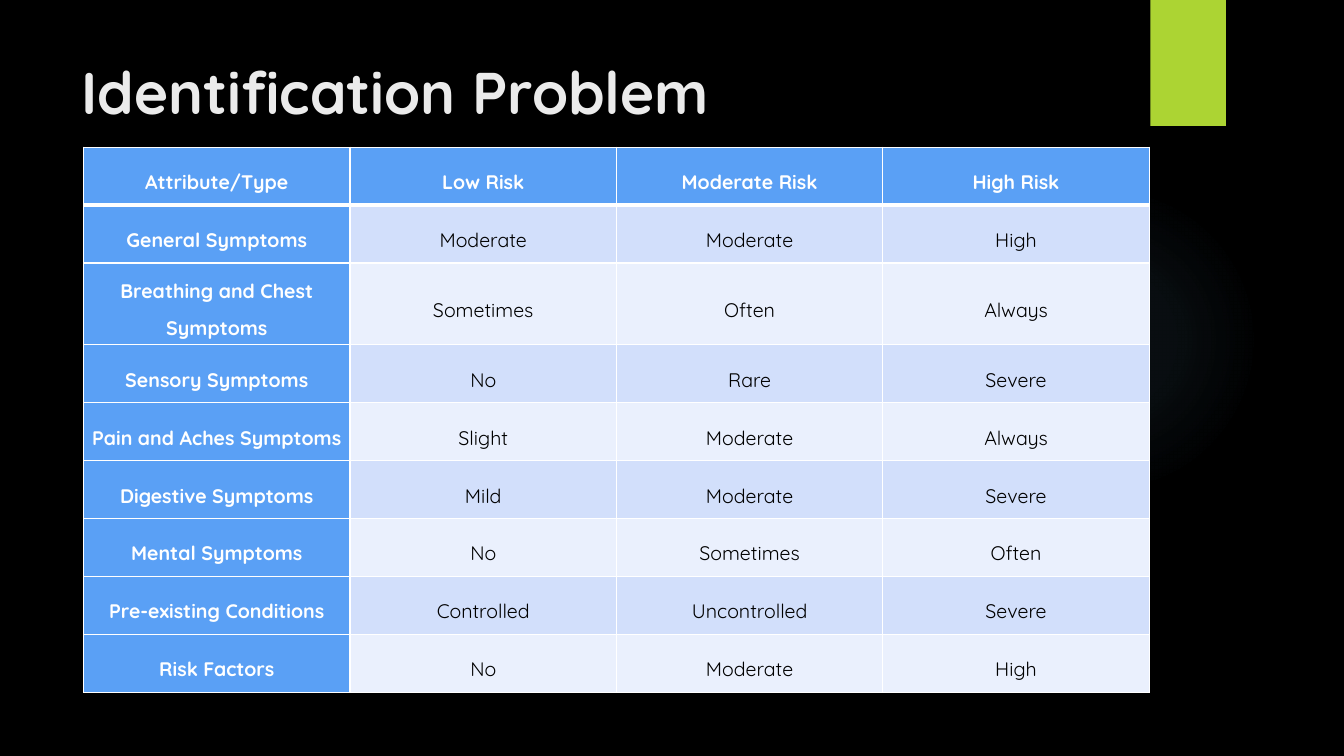
from lxml import etree
from pptx import Presentation
from pptx.dml.color import RGBColor
from pptx.enum import shapes, text
from pptx.oxml import parse_xml
from pptx.oxml.ns import nsdecls
from pptx.util import Inches, Pt

BLACK = RGBColor(0x00, 0x00, 0x00)
WHITE = RGBColor(0xFF, 0xFF, 0xFF)
PALE = RGBColor(0xEB, 0xEB, 0xEB)
LIME = RGBColor(0xAC, 0xD4, 0x33)
GLOW = RGBColor(0x7A, 0xC4, 0xF0)
BLUE = RGBColor(0x5A, 0xA0, 0xF5)
BANDS = [RGBColor(0xEA, 0xF0, 0xFD), RGBColor(0xD2, 0xDF, 0xFB)]
FONT = "Quicksand"

ROWS = [
    ["Attribute/Type", "Low Risk", "Moderate Risk", "High Risk"],
    ["General Symptoms", "Moderate", "Moderate", "High"],
    ["Breathing and Chest Symptoms", "Sometimes", "Often", "Always"],
    ["Sensory Symptoms", "No", "Rare", "Severe"],
    ["Pain and Aches Symptoms", "Slight", "Moderate", "Always"],
    ["Digestive Symptoms", "Mild", "Moderate", "Severe"],
    ["Mental Symptoms", "No", "Sometimes", "Often"],
    ["Pre-existing Conditions", "Controlled", "Uncontrolled", "Severe"],
    ["Risk Factors", "No", "Moderate", "High"],
]
TALL = 2  # the row whose label takes two lines


def style(para, size, color, bold):
    for run in para.runs:
        font = run.font
        font.name, font.size, font.bold = FONT, Pt(size), bold
        font.color.rgb = color


def add_glow(slide, x, y, w, h):
    oval = slide.shapes.add_shape(shapes.MSO_SHAPE.OVAL, x, y, w, h)
    oval.shadow.inherit = False
    oval.line.fill.background()
    stops = "".join(
        f'<a:gs pos="{pos * 1000}"><a:srgbClr val="{GLOW}">'
        f'<a:alpha val="{alpha * 1000}"/></a:srgbClr></a:gs>'
        for pos, alpha in [(0, 7), (36, 6), (69, 0), (100, 0)])
    grad = parse_xml(
        f'<a:gradFill {nsdecls("a")} rotWithShape="1"><a:gsLst>{stops}</a:gsLst>'
        '<a:path path="circle"><a:fillToRect l="50000" t="50000" r="50000" '
        'b="50000"/></a:path></a:gradFill>')
    oval.element.spPr.prstGeom.addnext(grad)


def add_tab(slide, x, y, w, h):
    tab = slide.shapes.add_shape(shapes.MSO_SHAPE.RECTANGLE, x, y, w, h)
    tab.fill.solid()
    tab.fill.fore_color.rgb = LIME
    tab.line.fill.background()
    tab.shadow.inherit = False
    # Soft shadow below the tab
    effects = tab.element.spPr.find("{*}effectLst")
    effects.append(parse_xml(
        f'<a:outerShdw {nsdecls("a")} blurRad="{Pt(3)}" dist="{Pt(2)}" '
        f'dir="5400000" rotWithShape="0"><a:srgbClr val="{BLACK}">'
        '<a:alpha val="45000"/></a:srgbClr></a:outerShdw>'))


def add_title(slide, x, y, w, h):
    frame = slide.shapes.add_textbox(x, y, w, h).text_frame
    frame.word_wrap = True
    frame.vertical_anchor = text.MSO_ANCHOR.TOP
    frame.text = "Identification Problem"
    style(frame.paragraphs[0], 42, PALE, True)


def add_edges(cell, widths):
    props = cell._tc.get_or_add_tcPr()
    for i, (side, width) in enumerate(widths.items()):
        edge = parse_xml(f'<a:ln{side} {nsdecls("a")} w="{Pt(width)}"/>')
        fill = etree.SubElement(edge, edge.tag.replace(f"ln{side}", "solidFill"))
        etree.SubElement(fill, fill.tag.replace("solidFill", "srgbClr"),
                         val=str(WHITE))
        props.insert(i, edge)


def fill_cell(cell, words, r, c):
    head = r == 0 or c == 0
    cell.fill.solid()
    cell.fill.fore_color.rgb = BLUE if head else BANDS[r % 2]
    cell.margin_left = cell.margin_right = Inches(0.05)
    cell.margin_top = cell.margin_bottom = 0
    cell.vertical_anchor = text.MSO_ANCHOR.MIDDLE
    cell.text_frame.text = words
    para = cell.text_frame.paragraphs[0]
    para.alignment = text.PP_ALIGN.CENTER
    para.line_spacing = 1.5
    para.space_after = Pt(8)
    style(para, 14, WHITE if head else BLACK, head)
    # The rule below the header is thicker
    add_edges(cell, {"L": 1, "R": 1, "T": 3 if r == 1 else 1,
                     "B": 3 if r == 0 else 1})


def add_risks(slide, x, y, w, h):
    count, wide = len(ROWS), len(ROWS[0])
    table = slide.shapes.add_table(count, wide, x, y, w, h).table
    for col in table.columns:
        col.width = w // wide
    tall = Inches(0.81)
    for r, row in enumerate(ROWS):
        table.rows[r].height = tall if r == TALL else (h - tall) // (count - 1)
        for c, words in enumerate(row):
            fill_cell(table.cell(r, c), words, r, c)


def main():
    deck = Presentation()
    deck.slide_width, deck.slide_height = Inches(13.33), Inches(7.5)
    slide = deck.slides.add_slide(deck.slide_layouts[6])
    back = slide.background.fill
    back.solid()
    back.fore_color.rgb = BLACK

    # Backdrop
    add_glow(slide, Inches(9.41), Inches(1.83), Inches(3.08), Inches(3.08))
    add_tab(slide, Inches(11.41), 0, Inches(0.75), Inches(1.25))
    # Content
    add_title(slide, Inches(0.71), Inches(0.5), Inches(10.29), Inches(1.53))
    add_risks(slide, Inches(0.83), Inches(1.46), Inches(10.57), Inches(5.41))
    deck.save("out.pptx")


if __name__ == "__main__":
    main()
